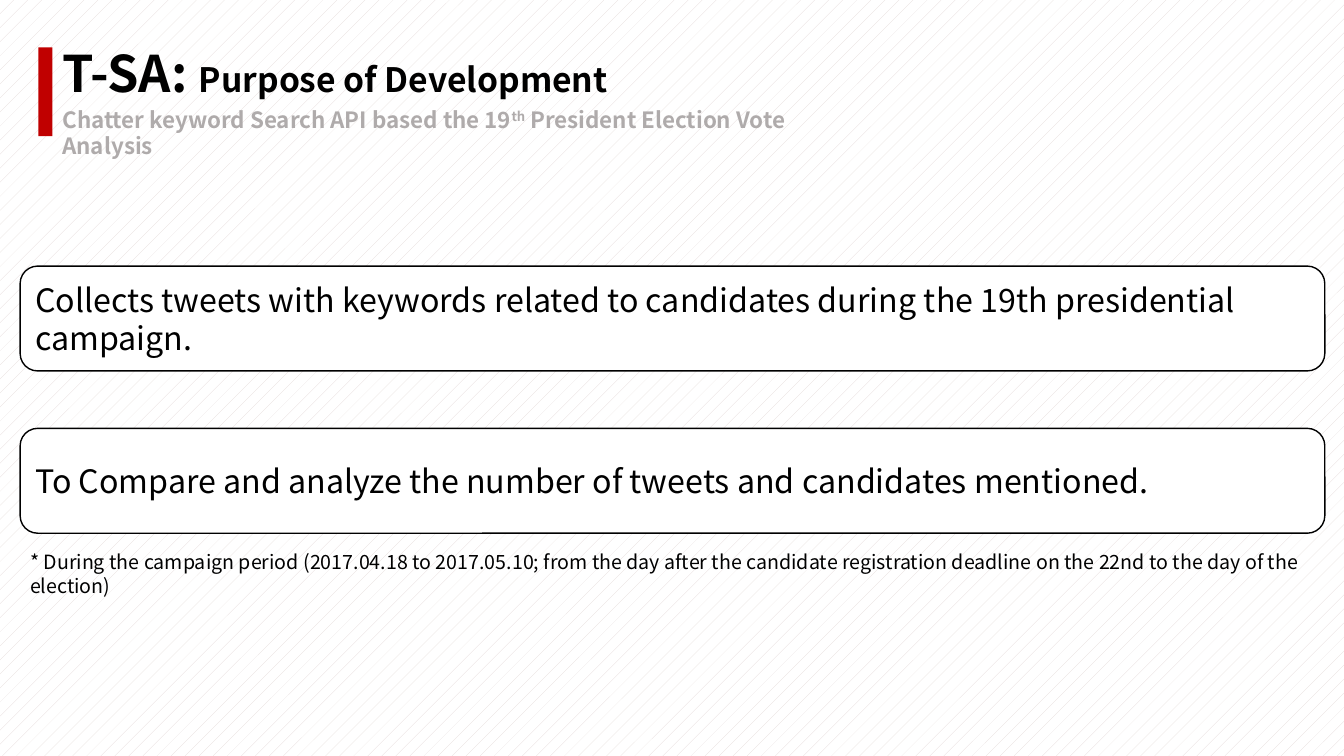
"""Build the T-SA purpose slide with its heading, two statements and a footnote."""
from dataclasses import dataclass

from pptx import Presentation
from pptx.dml.color import RGBColor
from pptx.enum.dml import MSO_PATTERN
from pptx.enum.shapes import MSO_SHAPE
from pptx.enum.text import MSO_ANCHOR, PP_ALIGN
from pptx.shapes.autoshape import Shape
from pptx.slide import Slide
from pptx.util import Inches, Pt

FONT = "Noto Sans CJK KR"
BLACK = RGBColor(0x00, 0x00, 0x00)
WHITE = RGBColor(0xFF, 0xFF, 0xFF)
RED = RGBColor(0xC0, 0x00, 0x00)
GREY = RGBColor(0xAF, 0xAB, 0xAB)
HATCH = RGBColor(0xE3, 0xD9, 0xD7)
MARGIN = 0.2
CONTENT_WIDTH = 12.94


@dataclass(frozen=True)
class Area:
    left: float
    top: float
    width: float
    height: float

    def lengths(self) -> tuple[Inches, Inches, Inches, Inches]:
        return Inches(self.left), Inches(self.top), Inches(self.width), Inches(self.height)


@dataclass(frozen=True)
class Statement:
    top: float
    text: str


STATEMENTS = (
    Statement(2.64, "Collects tweets with keywords related to candidates during the 19th presidential campaign."),
    Statement(4.25, "To Compare and analyze the number of tweets and candidates mentioned."),
)


def add_span(box: Shape, text: str, *, size: float, color: RGBColor = BLACK,
             bold: bool = False, baseline: int = 0) -> None:
    para = box.text_frame.paragraphs[0]
    para.alignment = PP_ALIGN.LEFT
    span = para.add_run()
    span.text = text
    span.font.name = FONT
    span.font.size = Pt(size)
    span.font.bold = bold
    span.font.color.rgb = color
    if baseline:
        span.font._element.set("baseline", str(baseline * 1000))


def add_text_box(page: Slide, area: Area) -> Shape:
    box = page.shapes.add_textbox(*area.lengths())
    box.text_frame.word_wrap = True
    return box


def add_panel(page: Slide, kind: MSO_SHAPE, area: Area, fill: RGBColor,
              line: RGBColor | None = None) -> Shape:
    panel = page.shapes.add_shape(kind, *area.lengths())
    panel.shadow.inherit = False
    panel.fill.solid()
    panel.fill.fore_color.rgb = fill
    if line is None:
        panel.line.fill.background()
    else:
        panel.line.color.rgb = line
        panel.line.width = Pt(1)
    return panel


def add_heading(page: Slide) -> None:
    add_panel(page, MSO_SHAPE.RECTANGLE, Area(0.38, 0.47, 0.14, 0.88), RED)
    title = add_text_box(page, Area(0.52, 0.37, 7.69, 1.18))
    add_span(title, "T-SA: ", size=36, bold=True)
    add_span(title, "Purpose of Development", size=24, bold=True)
    subtitle = add_text_box(page, Area(0.52, 1, 7.41, 0.37))
    add_span(subtitle, "Chatter keyword Search API based the 19", size=16, color=GREY, bold=True)
    add_span(subtitle, "th", size=16, color=GREY, bold=True, baseline=30)
    add_span(subtitle, " President Election Vote Analysis", size=16, color=GREY, bold=True)


def add_statement(page: Slide, statement: Statement) -> None:
    area = Area(MARGIN, statement.top, CONTENT_WIDTH, 1.04)
    panel = add_panel(page, MSO_SHAPE.ROUNDED_RECTANGLE, area, WHITE, BLACK)
    panel.text_frame.word_wrap = True
    panel.text_frame.vertical_anchor = MSO_ANCHOR.MIDDLE
    add_span(panel, statement.text, size=23)


def add_footnote(page: Slide) -> None:
    footnote = add_text_box(page, Area(MARGIN, 5.41, CONTENT_WIDTH, 0.34))
    add_span(footnote, "* During the campaign period (2017.04.18 to 2017.05.10; from the day after the "
             "candidate registration deadline on the 22nd to the day of the election)", size=14)


def main() -> None:
    deck = Presentation()
    deck.slide_width, deck.slide_height = Inches(13.33), Inches(7.5)
    page = deck.slides.add_slide(deck.slide_layouts[6])
    backdrop = page.background.fill
    backdrop.patterned()
    backdrop.pattern = MSO_PATTERN.PERCENT_5
    backdrop.fore_color.rgb = HATCH
    backdrop.back_color.rgb = WHITE
    add_heading(page)
    for statement in STATEMENTS:
        add_statement(page, statement)
    add_footnote(page)
    deck.save("out.pptx")


if __name__ == "__main__":
    main()
